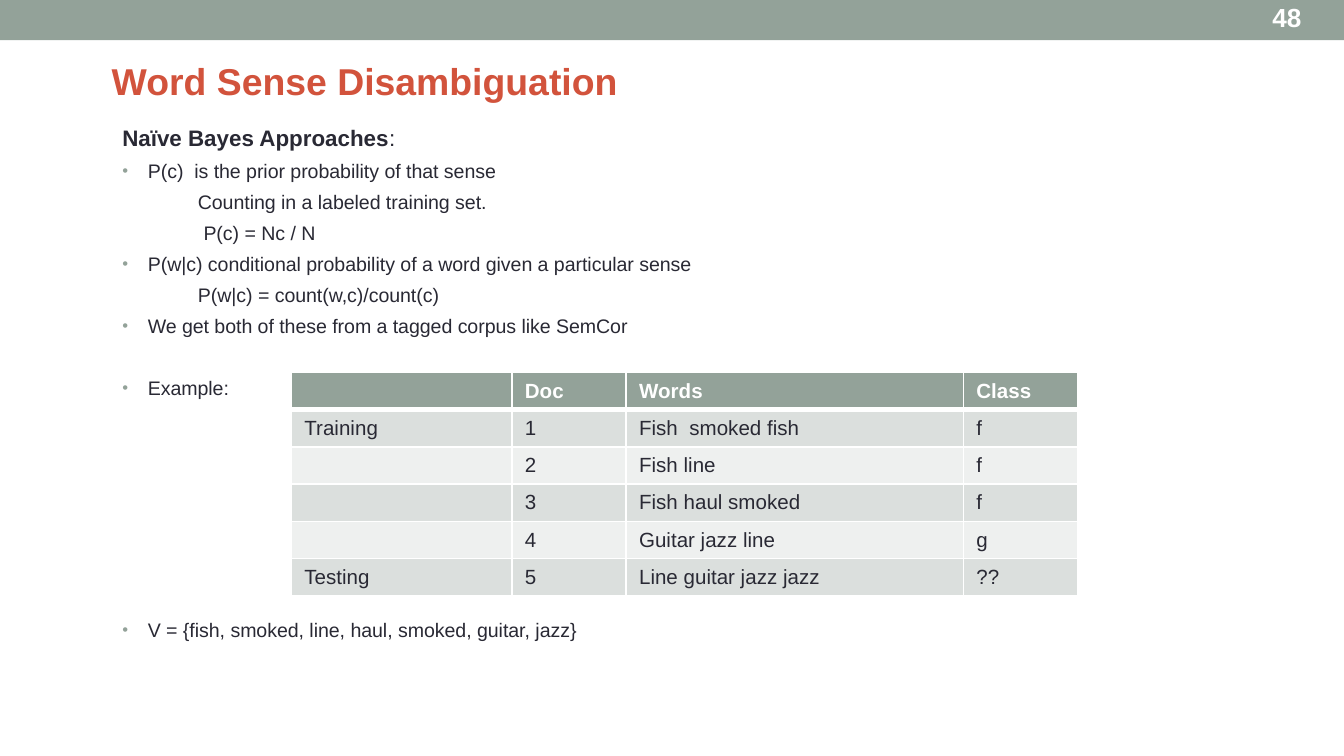
from lxml import etree
from pptx import Presentation
from pptx.dml.color import RGBColor
from pptx.enum import shapes, text
from pptx.oxml import ns
from pptx.util import Pt

COLORS = {"sage": "93A299", "rust": "D2533C", "ink": "292934",
          "white": "FFFFFF", "band": "DBDFDD", "pale": "EEF0EF"}


def set_font(font, size, color, bold=False):
    font.name = "Arial"
    font.size = Pt(size)
    font.bold = bold
    font.color.rgb = RGBColor.from_string(COLORS[color])


def add_colored(parent, tag, color, **attributes):
    """Append a DrawingML element that holds a colour, with a solid fill for lines."""
    element = etree.SubElement(parent, ns.qn(tag), attributes)
    holder = element
    if tag.startswith("a:ln"):
        holder = etree.SubElement(element, ns.qn("a:solidFill"))
    etree.SubElement(holder, ns.qn("a:srgbClr"), val=COLORS[color])


prs = Presentation()
prs.slide_width, prs.slide_height = Pt(720), Pt(405)
slide = prs.slides.add_slide(prs.slide_layouts[1])

# Header band and page number
band = slide.shapes.add_shape(shapes.MSO_SHAPE.RECTANGLE, 0, 0, Pt(720), Pt(21.6))
band.shadow.inherit = False
band.fill.solid()
band.fill.fore_color.rgb = RGBColor.from_string(COLORS["sage"])
band.line.fill.background()

page_number = slide.shapes.add_textbox(Pt(674.6), 0, Pt(36.7), Pt(18))
page_number.text_frame.word_wrap = True
page_number.text_frame.vertical_anchor = text.MSO_ANCHOR.MIDDLE
page_number.text_frame.text = "48"
set_font(page_number.text_frame.paragraphs[0].font, 14, "white", True)

# Title
title = slide.shapes.title
title.left, title.top, title.width, title.height = Pt(52.6), Pt(23), Pt(625.7), Pt(40.3)
title.text_frame.auto_size = text.MSO_AUTO_SIZE.NONE
title.text_frame.vertical_anchor = text.MSO_ANCHOR.MIDDLE
title.text_frame.text = "Word Sense Disambiguation"
title.text_frame.paragraphs[0].alignment = text.PP_ALIGN.LEFT
set_font(title.text_frame.paragraphs[0].font, 20, "rust", True)

# Approach list: text, indent (None for a bullet), lines left free above
GAP, LINE = 4.1, 16.17
points = [
    ("P(c)  is the prior probability of that sense", None, 0),
    ("Counting in a labeled training set.", 40.5, 0),
    ("P(c) = Nc / N", 43.5, 0),
    ("P(w|c) conditional probability of a word given a particular sense", None, 0),
    ("P(w|c) = count(w,c)/count(c)", 40.5, 0),
    ("We get both of these from a tagged corpus like SemCor", None, 0),
    ("Example:", None, 1),
    ("V = {fish, smoked, line, haul, smoked, guitar, jazz}", None, 7),
]
body = slide.placeholders[1]
body.left, body.top, body.width, body.height = Pt(58.3), Pt(62), Pt(543), Pt(209.5)
approaches = body.text_frame
approaches.auto_size = text.MSO_AUTO_SIZE.NONE
approaches.margin_top = Pt(4.6)

heading = approaches.paragraphs[0]
heading_props = heading._p.get_or_add_pPr()
heading_props.set("marL", "0")
heading_props.set("indent", "0")
etree.SubElement(heading_props, ns.qn("a:buNone"))
heading.space_before = Pt(0)
set_font(heading.font, 12, "ink")
heading_name = heading.add_run()
heading_name.text = "Naïve Bayes Approaches"
heading_name.font.bold = True
heading.add_run().text = ":"

for wording, indent, free_lines in points:
    point = approaches.add_paragraph()
    point.text = wording
    props = point._p.get_or_add_pPr()
    if indent is None:
        props.set("marL", str(Pt(13.7)))
        props.set("indent", str(-Pt(13.7)))
        add_colored(props, "a:buClr", "sage")
        etree.SubElement(props, ns.qn("a:buSzPct"), val="85000")
        etree.SubElement(props, ns.qn("a:buFont"), typeface="Arial")
        etree.SubElement(props, ns.qn("a:buChar"), char="•")
    else:
        props.set("marL", str(Pt(indent)))
        props.set("indent", "0")
        etree.SubElement(props, ns.qn("a:buNone"))
    point.space_before = Pt(round(GAP + free_lines * LINE, 1))
    set_font(point.font, 10.5, "ink")

# Example documents
documents = [
    ("", "Doc", "Words", "Class"),
    ("Training", "1", "Fish  smoked fish", "f"),
    ("", "2", "Fish line", "f"),
    ("", "3", "Fish haul smoked", "f"),
    ("", "4", "Guitar jazz line", "g"),
    ("Testing", "5", "Line guitar jazz jazz", "??"),
]
ROW_HEIGHT = 19.5
column_widths = [118.1, 61.2, 180.7, 61.2]
examples = slide.shapes.add_table(
    len(documents), len(column_widths), Pt(156.2), Pt(199.4),
    Pt(sum(column_widths)), Pt(ROW_HEIGHT * len(documents))).table
for column, width in zip(examples.columns, column_widths):
    column.width = Pt(width)

for r, document in enumerate(documents):
    examples.rows[r].height = Pt(ROW_HEIGHT)
    for c, entry in enumerate(document):
        cell = examples.cell(r, c)
        cell.margin_left = cell.margin_right = Pt(6.9)
        cell.margin_top = cell.margin_bottom = Pt(3.4)
        cell.vertical_anchor = text.MSO_ANCHOR.MIDDLE
        for side in "LRTB":
            under_header = (r, side) in [(0, "B"), (1, "T")]
            add_colored(cell._tc.get_or_add_tcPr(), "a:ln" + side, "white",
                        w=str(Pt(3 if under_header else 1)))
        cell.fill.solid()
        shade = "sage" if r == 0 else "band" if r % 2 else "pale"
        cell.fill.fore_color.rgb = RGBColor.from_string(COLORS[shade])
        cell.text = entry
        set_font(cell.text_frame.paragraphs[0].font, 11,
                 "ink" if r else "white", r == 0)

prs.save("out.pptx")
